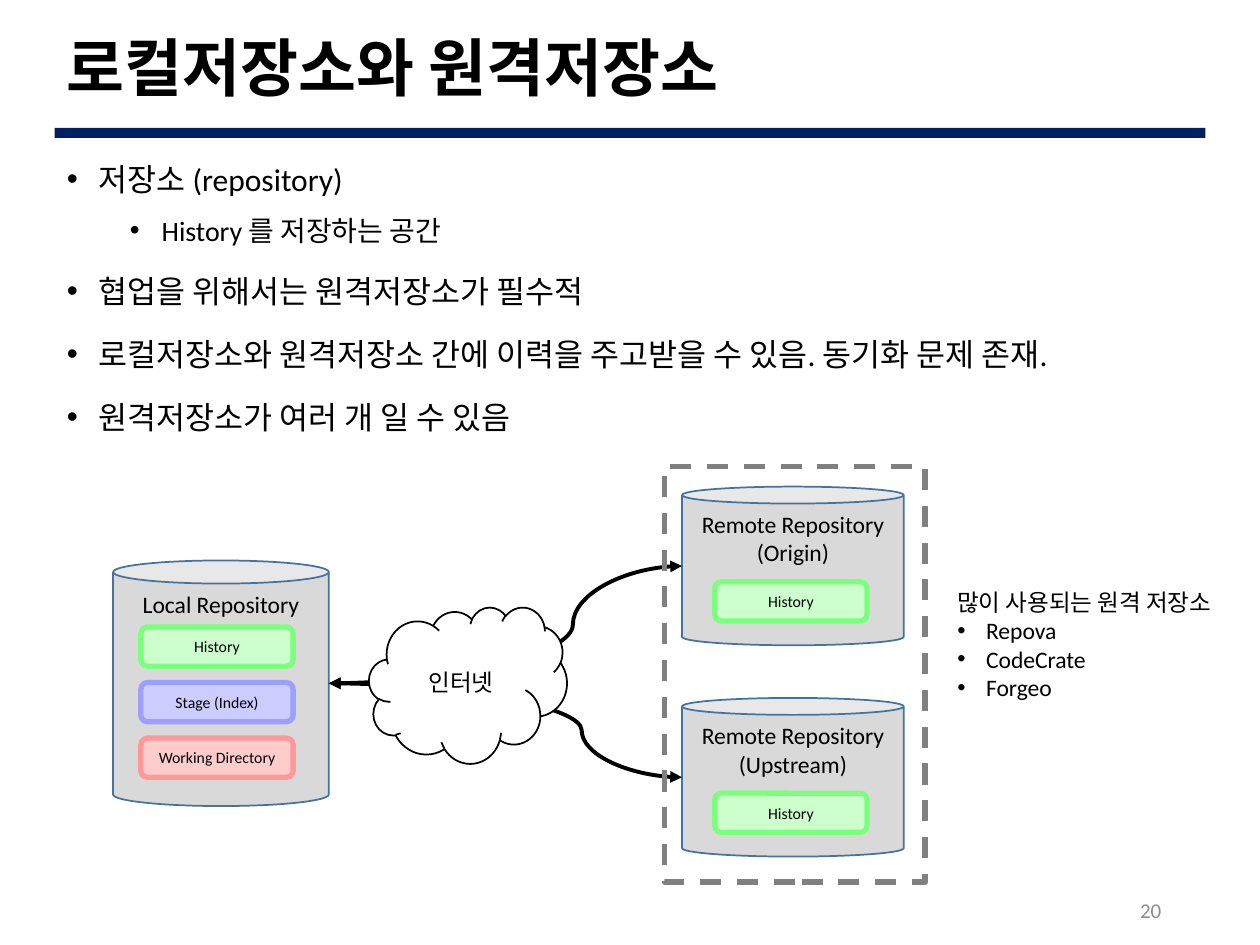
from lxml import etree
from pptx import Presentation
from pptx.dml.color import RGBColor
from pptx.enum.dml import MSO_LINE
from pptx.enum.shapes import MSO_CONNECTOR, MSO_SHAPE
from pptx.enum.text import MSO_ANCHOR, MSO_AUTO_SIZE, PP_ALIGN
from pptx.oxml.ns import qn
from pptx.util import Cm, Pt

RECT, ROUND = MSO_SHAPE.RECTANGLE, MSO_SHAPE.ROUNDED_RECTANGLE
CAN, CLOUD = MSO_SHAPE.CAN, MSO_SHAPE.CLOUD
TOP, MIDDLE = MSO_ANCHOR.TOP, MSO_ANCHOR.MIDDLE
LEFT, CENTER, RIGHT = PP_ALIGN.LEFT, PP_ALIGN.CENTER, PP_ALIGN.RIGHT
FONT = "Calibri"

TITLE = "로컬저장소와 원격저장소"
BULLETS = [  # level, text
    (0, "저장소 (repository)"),
    (1, "History 를 저장하는 공간"),
    (0, "협업을 위해서는 원격저장소가 필수적"),
    (0, "로컬저장소와 원격저장소 간에 이력을 주고받을 수 있음. 동기화 문제 존재."),
    (0, "원격저장소가 여러 개 일 수 있음"),
]
LEVELS = [  # size, space before, left margin in cm
    (18, 10, 0.64),
    (16, 5, 1.91),
]
HOSTS_TITLE = "많이 사용되는 원격 저장소"
HOSTS = ["Repova", "CodeCrate", "Forgeo"]

HISTORY = ("History", "CCFFCC", "7CFF7C")
STAGE = ("Stage (Index)", "CCCCFF", "9E9EFF")
WORKING = ("Working Directory", "FFCCCC", "FF9999")

# caption lines, can box, left and top of first area, areas (all in cm)
LOCAL = (["Local Repository"], (2.28, 11.3, 4.35, 4.95), (2.84, 12.64),
         [HISTORY, STAGE, WORKING])
REMOTE_X, REMOTE_Y, REMOTE_W, REMOTE_H, REMOTE_STEP = 13.75, 9.81, 4.47, 3.2, 4.26
REMOTES = ["(Origin)", "(Upstream)"]
CURVE_BENDS = [69100, 71600]
AREA_W, AREA_H, AREA_STEP = 3.07, 0.79, 1.12

prs = Presentation()
prs.slide_width, prs.slide_height = Cm(25.4), Cm(19.05)
s = prs.slides.add_slide(prs.slide_layouts[6])


def rgb(value):
    return RGBColor.from_string(value)


def add_bullet(p, margin, hang):
    pPr = p._p.get_or_add_pPr()
    pPr.set("marL", str(Cm(margin)))
    pPr.set("indent", str(-Cm(hang)))
    etree.SubElement(pPr, qn("a:buFont")).set("typeface", "Arial")
    etree.SubElement(pPr, qn("a:buChar")).set("char", "•")


def write(p, text, size=13.5, color="000000", bold=False, align=LEFT,
          spacing=None, before=None):
    p.alignment = align
    if spacing:
        p.line_spacing = spacing
    if before:
        p.space_before = Pt(before)
    r = p.add_run()
    r.text = text
    r.font.name, r.font.size, r.font.bold = FONT, Pt(size), bold
    r.font.color.rgb = rgb(color)


def paragraphs(tf, count):
    return [tf.paragraphs[0]] + [tf.add_paragraph() for _ in range(count - 1)]


def add_text_box(box, anchor=TOP, wrap=True):
    tf = s.shapes.add_textbox(*map(Cm, box)).text_frame
    tf.word_wrap, tf.vertical_anchor = wrap, anchor
    return tf


def add_shape(kind, box, fill=None, line=None, width=1, lines=(), size=13.5, anchor=MIDDLE):
    sp = s.shapes.add_shape(kind, *map(Cm, box))
    sp.shadow.inherit = False
    if fill:
        sp.fill.solid()
        sp.fill.fore_color.rgb = rgb(fill)
    else:
        sp.fill.background()
    if line:
        sp.line.color.rgb = rgb(line)
        sp.line.width = Pt(width)
    else:
        sp.line.fill.background()
    tf = sp.text_frame
    tf.vertical_anchor = anchor
    for p, text in zip(paragraphs(tf, len(lines)), lines):
        write(p, text, size=size, align=CENTER)
    return sp


def add_repository(caption, box, first_area, areas):
    can = add_shape(CAN, box, "D9D9D9", "43739E", lines=caption, anchor=TOP)
    can.adjustments[0] = 0.107
    x, y = first_area
    for i, (label, fill, line) in enumerate(areas):
        add_shape(ROUND, (x, y + i * AREA_STEP, AREA_W, AREA_H), fill, line, 3, [label], 9)


def add_sync_curve(start, end, bend):
    """Curve with arrowheads at both ends; bend is in 1/100000 of its width."""
    c = s.shapes.add_connector(MSO_CONNECTOR.CURVE, *map(Cm, start + end))
    c.line.color.rgb = rgb("000000")
    c.line.width = Pt(2.25)
    ln = c.line._get_or_add_ln()
    for tag in ("a:headEnd", "a:tailEnd"):
        etree.SubElement(ln, qn(tag)).set("type", "triangle")
    spPr = c._element.spPr
    etree.SubElement(spPr, qn("a:effectLst"))
    guide = etree.SubElement(spPr.find(qn("a:prstGeom")).find(qn("a:avLst")), qn("a:gd"))
    guide.set("name", "adj1")
    guide.set("fmla", f"val {bend}")


# Heading and bullets
add_shape(RECT, (1.1, 2.58, 23.2, 0.2), "002060")
title = add_text_box((1.1, 0.46, 23.2, 1.96), MIDDLE)
write(title.paragraphs[0], TITLE, size=36, bold=True, spacing=0.9)

body = add_text_box((1.1, 2.95, 23.2, 14.63))
for i, (p, (level, text)) in enumerate(zip(paragraphs(body, len(BULLETS)), BULLETS)):
    size, before, margin = LEVELS[level]
    p.level = level
    add_bullet(p, margin, 0.64)
    write(p, text, size=size, spacing=1.2, before=before if i else None)

number = add_text_box((17.94, 17.9, 5.72, 0.9), MIDDLE)
write(number.paragraphs[0], "20", size=12, color="8C8C8C", align=RIGHT)

# Repositories and the links between them
add_repository(*LOCAL)
remote_tops = [REMOTE_Y + i * REMOTE_STEP for i in range(len(REMOTES))]
for name, y in zip(REMOTES, remote_tops):
    add_repository(["Remote Repository", name], (REMOTE_X, y, REMOTE_W, REMOTE_H),
                   (REMOTE_X + 0.66, y + 1.92), [HISTORY])

x, y, w, h = LOCAL[1]
for top, bend in zip(remote_tops, CURVE_BENDS):
    add_sync_curve((x + w, y + h / 2), (REMOTE_X, top + REMOTE_H / 2), bend)

add_shape(CLOUD, (7.44, 12.24, 3.99, 3.15), "FFFFFF", "000000", lines=["인터넷"])
frame = add_shape(RECT, (13.39, 9.4, 5.26, 8.38), line="808080", width=3)
frame.line.dash_style = MSO_LINE.DASH

# Hosting services
hosts = add_text_box((19.05, 11.73, 6.12, 2.57), wrap=False)
hosts.auto_size = MSO_AUTO_SIZE.SHAPE_TO_FIT_TEXT
heading, *items = paragraphs(hosts, len(HOSTS) + 1)
write(heading, HOSTS_TITLE)
for p, host in zip(items, HOSTS):
    add_bullet(p, 0.58, 0.58)
    write(p, host)

prs.save("out.pptx")
